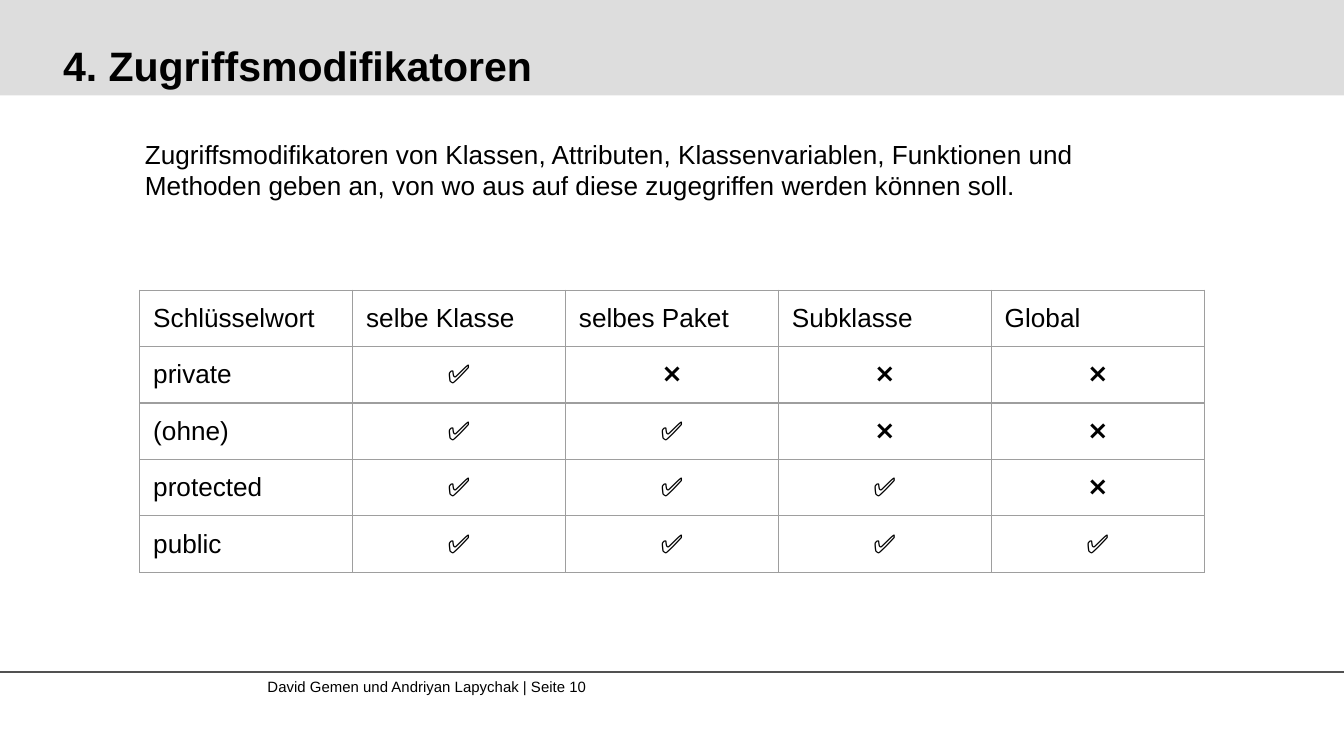
from lxml import etree
from pptx import Presentation, util as u
from pptx.dml.color import RGBColor
from pptx.enum import shapes, text
from pptx.oxml import ns

# Content
TITLE = "4. Zugriffsmodifikatoren"
INTRO = ("Zugriffsmodifikatoren von Klassen, Attributen, Klassenvariablen, Funktionen und "
         "Methoden geben an, von wo aus auf diese zugegriffen werden können soll.")
FOOTER = "David Gemen und Andriyan Lapychak | Seite 10"
SCOPES = ["selbe Klasse", "selbes Paket", "Subklasse", "Global"]
KEYWORDS = ["private", "(ohne)", "protected", "public"]
YES, NO = "✅", "❌"

# Each keyword opens access to one more scope than the one before
ROWS = [["Schlüsselwort"] + SCOPES]
for level, keyword in enumerate(KEYWORDS):
    ROWS.append([keyword] + [YES if i <= level else NO for i in range(len(SCOPES))])

# Style and layout, in inches
COLORS = {"text": "000000", "band": "DDDDDD", "rule": "515151", "grid": "9E9E9E"}
FONT = "Arial"
W = 10
H = W * 9 / 16
BAND_H, RULE_Y = 0.71, 5
TABLE_X, TABLE_Y, TABLE_W, ROW_H = 1.04, 2.16, 7.92, 0.42
PAD, PAD_BOTTOM = 0.1, 0.08


def color(name):
    return RGBColor.from_string(COLORS[name])


def write(tf, words, size=14, bold=False, align=text.PP_ALIGN.LEFT):
    p = tf.paragraphs[0]
    p.alignment = align
    r = p.add_run()
    r.text = words
    r.font.name, r.font.size, r.font.bold = FONT, u.Pt(size), bold
    r.font.color.rgb = color("text")


def add_text(s, words, x, y, w, h, inset=0, anchor=text.MSO_ANCHOR.TOP, **fmt):
    tf = s.shapes.add_textbox(*map(u.Inches, (x, y, w, h))).text_frame
    tf.word_wrap, tf.vertical_anchor = True, anchor
    tf.margin_left = tf.margin_right = tf.margin_top = tf.margin_bottom = u.Inches(inset)
    write(tf, words, **fmt)


def add_borders(cell):
    tc_pr = cell._tc.get_or_add_tcPr()
    for side in ("lnL", "lnR", "lnT", "lnB"):
        ln = etree.SubElement(tc_pr, ns.qn(f"a:{side}"), w=str(u.Pt(0.75)))
        fill = etree.SubElement(ln, ns.qn("a:solidFill"))
        etree.SubElement(fill, ns.qn("a:srgbClr"), val=COLORS["grid"])


prs = Presentation()
prs.slide_width, prs.slide_height = u.Inches(W), u.Inches(H)
s = prs.slides.add_slide(prs.slide_layouts[6])

# Footer with rule
add_text(s, FOOTER, 1.99, RULE_Y + 0.04, 4.22, 0.27, size=8)
rule = s.shapes.add_connector(shapes.MSO_CONNECTOR.STRAIGHT, 0, u.Inches(RULE_Y),
                              u.Inches(W), u.Inches(RULE_Y))
rule.line.color.rgb, rule.line.width = color("rule"), u.Pt(0.75)
etree.SubElement(rule._element.spPr, ns.qn("a:effectLst"))

# Title band
band = s.shapes.add_shape(shapes.MSO_SHAPE.RECTANGLE, 0, 0, u.Inches(W), u.Inches(BAND_H))
band.shadow.inherit = False
band.fill.solid()
band.fill.fore_color.rgb = color("band")
band.line.fill.background()
add_text(s, TITLE, 0.47, 0.09, 9.16, 0.58, anchor=text.MSO_ANCHOR.BOTTOM, size=22, bold=True)

# Access table
n_rows, n_cols = len(ROWS), len(ROWS[0])
table = s.shapes.add_table(n_rows, n_cols, u.Inches(TABLE_X), u.Inches(TABLE_Y),
                           u.Inches(TABLE_W), u.Inches(n_rows * ROW_H)).table
table.first_row = table.horz_banding = False
for row, words in zip(table.rows, ROWS):
    row.height = u.Inches(ROW_H)
    for cell, word in zip(row.cells, words):
        cell.margin_left = cell.margin_right = cell.margin_top = u.Inches(PAD)
        cell.margin_bottom = u.Inches(PAD_BOTTOM)
        add_borders(cell)
        cell.fill.background()
        is_mark = word in (YES, NO)
        write(cell.text_frame, word,
              align=text.PP_ALIGN.CENTER if is_mark else text.PP_ALIGN.LEFT)

# Introduction
add_text(s, INTRO, 0.98, 0.93, 7.98, 0.67, inset=PAD)

prs.save("out.pptx")
